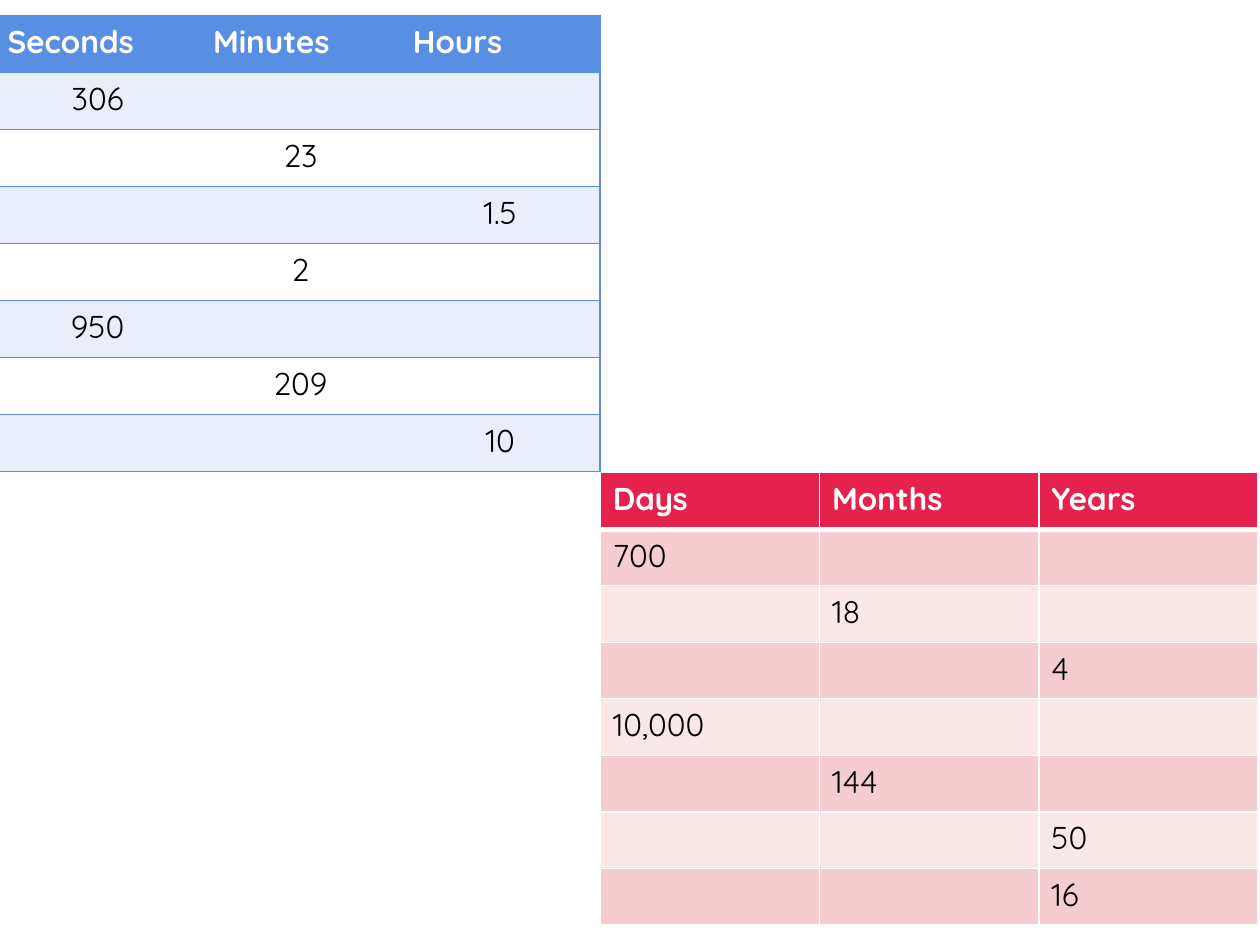
import pptx
import pptx.dml.color
import pptx.enum.text
import pptx.oxml
import pptx.oxml.ns
import pptx.util
from pptx.util import Cm

COLORS = {
    "blue": "588FE2",
    "pale_blue": "EAEEFA",
    "red": "E5224E",
    "rose": "F5CDD0",
    "pale_rose": "FAE8E9",
    "white": "FFFFFF",
    "black": "000000",
}
LEFT = pptx.enum.text.PP_ALIGN.LEFT
CENTER = pptx.enum.text.PP_ALIGN.CENTER


def rgb(color):
    return pptx.dml.color.RGBColor.from_string(COLORS[color])


class ConversionSlide:
    def __init__(self, slide, font_name, font_size):
        self.slide = slide
        self.font_format = {"name": font_name, "size": pptx.util.Pt(font_size)}

    def border(self, cell, side, color, width):
        if color:
            paint = f'<a:solidFill><a:srgbClr val="{COLORS[color]}"/></a:solidFill>'
        else:
            paint = "<a:noFill/>"
        line = pptx.oxml.parse_xml(
            f'<a:ln{side} {pptx.oxml.ns.nsdecls("a")} w="{pptx.util.Pt(width)}">'
            f"{paint}</a:ln{side}>"
        )
        cell._tc.get_or_add_tcPr().append(line)

    def cell_text(self, cell, text, color, bold, alignment):
        paragraph = cell.text_frame.paragraphs[0]
        paragraph.alignment = alignment
        run = paragraph.add_run()
        run.text = text
        for key, value in {**self.font_format, "bold": bold}.items():
            setattr(run.font, key, value)
        run.font.color.rgb = rgb(color)

    def table(self, origin, widths, row_height, units, quantities, theme):
        left, top = origin
        row_count = len(quantities) + 1
        grid = self.slide.shapes.add_table(
            row_count, len(units), Cm(left), Cm(top),
            Cm(sum(widths)), Cm(row_height * row_count),
        ).table
        grid.first_row = False
        grid.horz_banding = False
        for column, width in zip(grid.columns, widths):
            column.width = Cm(width)
        for row in grid.rows:
            row.height = Cm(row_height)

        contents = {(0, index): unit for index, unit in enumerate(units)}
        for row_index, (unit, value) in enumerate(quantities, 1):
            contents[row_index, units.index(unit)] = value

        last = len(units) - 1
        for row_index in range(row_count):
            header = row_index == 0
            fill = theme["header"] if header else theme["bands"][(row_index - 1) % 2]
            for column_index in range(len(units)):
                cell = grid.cell(row_index, column_index)
                inner = theme["line"] if theme["inner_verticals"] else None
                sides = {
                    "L": (theme["line"] if column_index == 0 else inner, 1),
                    "R": (theme["line"] if column_index == last else inner, 1),
                    "T": (theme["line"], theme["header_rule"] if row_index == 1 else 1),
                    "B": (theme["line"], theme["header_rule"] if header else 1),
                }
                for side, (color, width) in sides.items():
                    self.border(cell, side, color, width)
                cell.fill.solid()
                cell.fill.fore_color.rgb = rgb(fill)
                text = contents.get((row_index, column_index))
                if text:
                    self.cell_text(
                        cell, text, "white" if header else "black", header,
                        LEFT if header else theme["alignment"],
                    )


def main():
    presentation = pptx.Presentation()
    for key, value in {"slide_width": Cm(25.4), "slide_height": Cm(19.05)}.items():
        setattr(presentation, key, value)
    slide = presentation.slides.add_slide(presentation.slide_layouts[6])
    conversions = ConversionSlide(slide, "Quicksand", 18)

    conversions.table(
        (-0.1, 0.31), [4.14, 4.03, 4.03], 1.15,
        ["Seconds", "Minutes", "Hours"],
        [("Seconds", "306"), ("Minutes", "23"), ("Hours", "1.5"), ("Minutes", "2"),
         ("Seconds", "950"), ("Minutes", "209"), ("Hours", "10")],
        {"header": "blue", "bands": ["pale_blue", "white"], "line": "blue",
         "inner_verticals": False, "header_rule": 1, "alignment": CENTER},
    )
    conversions.table(
        (12.1, 9.53), [4.42] * 3, 1.14,
        ["Days", "Months", "Years"],
        [("Days", "700"), ("Months", "18"), ("Years", "4"), ("Days", "10,000"),
         ("Months", "144"), ("Years", "50"), ("Years", "16")],
        {"header": "red", "bands": ["rose", "pale_rose"], "line": "white",
         "inner_verticals": True, "header_rule": 3, "alignment": LEFT},
    )
    presentation.save("out.pptx")


if __name__ == "__main__":
    main()
